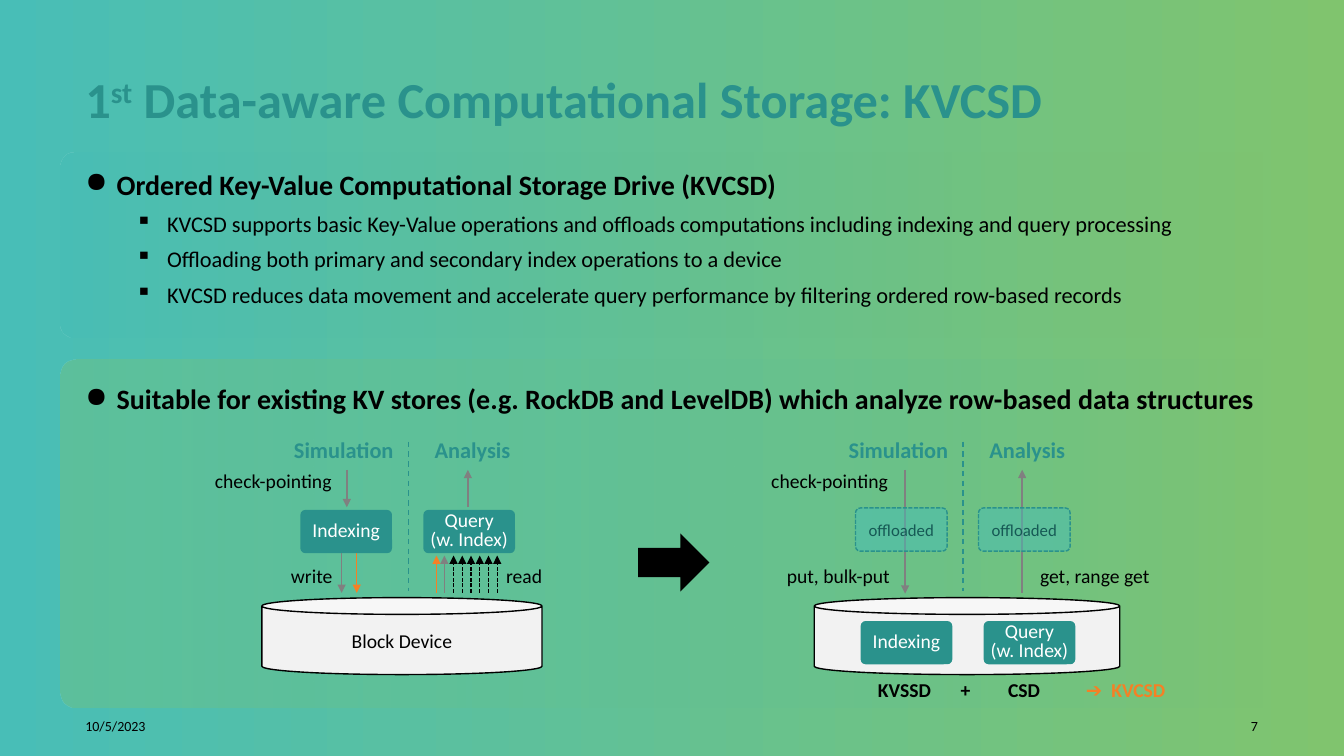
from lxml import etree
from pptx import Presentation
from pptx.dml.color import RGBColor
from pptx.enum.dml import MSO_LINE
from pptx.enum.shapes import MSO_CONNECTOR, MSO_SHAPE
from pptx.enum.text import MSO_ANCHOR, PP_ALIGN
from pptx.oxml.ns import qn
from pptx.util import Cm, Pt

TEAL = RGBColor(0x2A, 0x92, 0x8C)
AQUA = RGBColor(0x48, 0xBE, 0xB7)
GREEN = RGBColor(0x80, 0xC4, 0x6E)
DEEP = RGBColor(0x16, 0x59, 0x55)
ORANGE = RGBColor(0xF5, 0x80, 0x25)
GRAY = RGBColor(0x80, 0x80, 0x80)
PALE = RGBColor(0xF2, 0xF2, 0xF2)
BLACK = RGBColor(0, 0, 0)
WHITE = RGBColor(255, 255, 255)
LEFT, MID, RIGHT = PP_ALIGN.LEFT, PP_ALIGN.CENTER, PP_ALIGN.RIGHT
TOP, CENTER = MSO_ANCHOR.TOP, MSO_ANCHOR.MIDDLE
ROUND, CAN, ARROW = MSO_SHAPE.ROUNDED_RECTANGLE, MSO_SHAPE.CAN, MSO_SHAPE.RIGHT_ARROW
DASH, DOTS = MSO_LINE.DASH, MSO_LINE.SQUARE_DOT
STRAIGHT = MSO_CONNECTOR.STRAIGHT
FONT = "Calibri"

# Content; lengths in cm
TITLE = [("1", 0), ("st", 30000), (" Data-aware Computational Storage: KVCSD", 0)]
LISTS = [  # top, height, (level, text)
    (4.09, 4.17, [
        (0, "Ordered Key-Value Computational Storage Drive (KVCSD)"),
        (1, "KVCSD supports basic Key-Value operations and offloads "
            "computations including indexing and query processing"),
        (1, "Offloading both primary and secondary index operations to a device"),
        (1, "KVCSD reduces data movement and accelerate query performance "
            "by filtering ordered row-based records")]),
    (9.5, 1.47, [
        (0, "Suitable for existing KV stores (e.g. RockDB and LevelDB) "
            "which analyze row-based data structures")]),
]
LEVELS = [("●", 0.79, 20, True, 1), ("▪", 2.06, 16, False, 0.8)]
PANELS = [  # top, height, corner, turn, alpha at each end
    (9.07, 8.76, 0.045, 180, (0, 35)),
    (3.84, 4.67, 0.073, 0, (35, 0)),
]
FOOT = [("10/5/2023", 1.9, 4.45, LEFT), ("7", 30.43, 1.52, RIGHT)]
HEADS = [("Simulation", 7.14, 3.05), ("Analysis", 10.69, 2.44)]
NOTES = [  # text, left, top, width, align
    ("check-pointing", 3.48, 11.81, 5.13, RIGHT),
    ("write", 7.06, 14.2, 1.57, RIGHT),
    ("read", 12.5, 14.2, 1.42, MID),
    ("check-pointing", 18.87, 11.81, 3.76, RIGHT),
    ("put, bulk-put", 19.53, 14.2, 3.15, RIGHT),
    ("get, range get", 25.96, 14.2, 3.3, LEFT),
]
SUM = [
    ("KVSSD", 21.87, 1.85, BLACK),
    ("+", 23.95, 0.76, BLACK),
    ("CSD", 25.15, 1.32, BLACK),
    ("➔  KVCSD", 27.05, 2.64, ORANGE),
]
FLOWS = [  # x, start y, end y, colour
    (8.99, 13.82, 14.94, ORANGE),
    (8.61, 12.85, 14.94, GRAY),
    (8.74, 11.84, 12.78, GRAY),
    (11.79, 12.78, 11.84, GRAY),
    (11, 14.94, 14, ORANGE),
    (11.2, 14.94, 14, GRAY),
    (22.81, 11.84, 14.96, GRAY),
    (25.76, 14.94, 11.84, GRAY),
]
READS, READ_X, READ_GAP = 6, 11.43, 0.22
SHIFT = 13.98  # from the left scene to the right scene
STEPS = ["Indexing", "Query\n(w. Index)"]
STEP_GAP = 3.1
ROWS = [  # left, top, texts, offloaded
    (7.57, 12.85, STEPS, False),
    (21.56, 12.8, ["offloaded"] * 2, True),
    (21.69, 15.65, STEPS, False),
]
CANS = [(6.6, 7.06, "Block Device"), (20.52, 7.7, "")]

deck = Presentation()
deck.slide_width, deck.slide_height = Cm(33.87), Cm(19.05)
slide = deck.slides.add_slide(deck.slide_layouts[6])


def put(para, text, size, color, bold=False):
    run = para.add_run()
    run.text = text
    font = run.font
    font.name, font.size, font.bold = FONT, Pt(size), bold
    font.color.rgb = color
    return run


def fill_text(shape, text, size, color, align=MID, bold=False, gap=1):
    frame = shape.text_frame
    frame.vertical_anchor = CENTER
    for i, line in enumerate(text.split("\n")):
        para = frame.add_paragraph() if i else frame.paragraphs[0]
        para.alignment, para.line_spacing = align, gap
        put(para, line, size, color, bold)


def box(x, y, w, h, wrap=True):
    item = slide.shapes.add_textbox(Cm(x), Cm(y), Cm(w), Cm(h))
    item.text_frame.word_wrap = wrap
    return item


def fade(color, percent):
    """Give a colour element its opacity."""
    etree.SubElement(color, qn("a:alpha"), val=str(percent * 1000))


def blend(fill):
    fill.gradient()
    fill.gradient_angle = 0
    for stop, color in zip(fill.gradient_stops, (AQUA, GREEN)):
        stop.color.rgb = color


def draw(kind, x, y, w, h, fill=None, edge=None, bend=None):
    item = slide.shapes.add_shape(kind, Cm(x), Cm(y), Cm(w), Cm(h))
    item.shadow.inherit = False
    if fill is not None:
        item.fill.solid()
        item.fill.fore_color.rgb = fill
    if edge is None:
        item.line.fill.background()
    else:
        item.line.color.rgb, item.line.width = edge, Pt(1)
    if bend is not None:
        item.adjustments[0] = bend
    frame = item.text_frame
    frame.margin_left = frame.margin_right = 0
    frame.margin_top = frame.margin_bottom = 0
    return item


def rule(x, start, end, color, dash=None, tip=True):
    """Draw an upright line, with an arrowhead at its end if tip is set."""
    item = slide.shapes.add_connector(STRAIGHT, Cm(x), Cm(start), Cm(x), Cm(end))
    item.line.color.rgb, item.line.width = color, Pt(1)
    if dash is not None:
        item.line.dash_style = dash
    props = item._element.spPr
    if tip:
        etree.SubElement(props.find(qn("a:ln")), qn("a:tailEnd"), type="triangle")
    etree.SubElement(props, qn("a:effectLst"))


# Backdrop
blend(slide.background.fill)
for y, h, bend, turn, alphas in PANELS:
    panel = draw(ROUND, 1.52, y, 30.81, h, bend=bend)
    panel.rotation = turn
    blend(panel.fill)
    for color, alpha in zip(panel._element.spPr.iter(qn("a:srgbClr")), alphas):
        fade(color, alpha)

# Title, lists and footer
head = box(1.9, 1.09, 30.05, 2.77).text_frame
head.vertical_anchor = CENTER
for text, raised in TITLE:
    run = put(head.paragraphs[0], text, 36, TEAL, True)
    if raised:
        run._r.get_or_add_rPr().set("baseline", str(raised))

for y, h, lines in LISTS:
    frame = box(1.9, y, 30.05, h).text_frame
    frame.vertical_anchor = TOP
    for i, (level, text) in enumerate(lines):
        mark, indent, size, bold, gap = LEVELS[level]
        para = frame.add_paragraph() if i else frame.paragraphs[0]
        para.level, para.line_spacing, para.space_after = level, gap, Pt(10)
        put(para, text, size, BLACK, bold)
        props = para._p.get_or_add_pPr()
        props.set("marL", str(Cm(indent)))
        props.set("indent", str(-Cm(0.79)))
        tint = etree.SubElement(props, qn("a:buClr"))
        etree.SubElement(tint, qn("a:srgbClr"), val=str(BLACK))
        etree.SubElement(props, qn("a:buChar"), char=mark)

for text, x, w, align in FOOT:
    fill_text(box(x, 17.86, w, 0.89), text, 10, BLACK, align)

# Lines behind the boxes
for move in (0, SHIFT):
    rule(10.29 + move, 11.13, 14.9, TEAL, DASH, tip=False)
    for text, x, w in HEADS:
        fill_text(box(x + move, 10.85, w, 0.94, False), text, 16, TEAL, bold=True)
for flow in FLOWS:
    rule(*flow)
for i in range(READS):
    rule(READ_X + i * READ_GAP, 14.94, 14, BLACK, DOTS)

# Devices and steps
for x, w, text in CANS:
    can = draw(CAN, x, 15.06, w, 1.94, PALE, BLACK, 0.218)
    if text:
        fill_text(can, text, 14, BLACK)
for x, y, texts, moved in ROWS:
    for i, text in enumerate(texts):
        place = (x + i * STEP_GAP, y, 2.31, 1.09)
        if moved:
            step = draw(ROUND, *place, AQUA, TEAL, 0.114)
            step.line.dash_style = DOTS
            fade(step._element.spPr.find(qn("a:solidFill"))[0], 50)
            fill_text(step, text, 12, DEEP)
        else:
            step = draw(ROUND, *place, TEAL, bend=0.114)
            fill_text(step, text, 14, WHITE, gap=0.8)
draw(ARROW, 16.08, 13.44, 1.8, 1.47, BLACK)

# Labels
for text, x, y, w, align in NOTES:
    fill_text(box(x, y, w, 0.74, w > 3.5), text, 14, BLACK, align, gap=0.8)
for text, x, w, color in SUM:
    fill_text(box(x, 16.94, w, 0.86, False), text, 14, color, bold=True)

deck.save("out.pptx")
